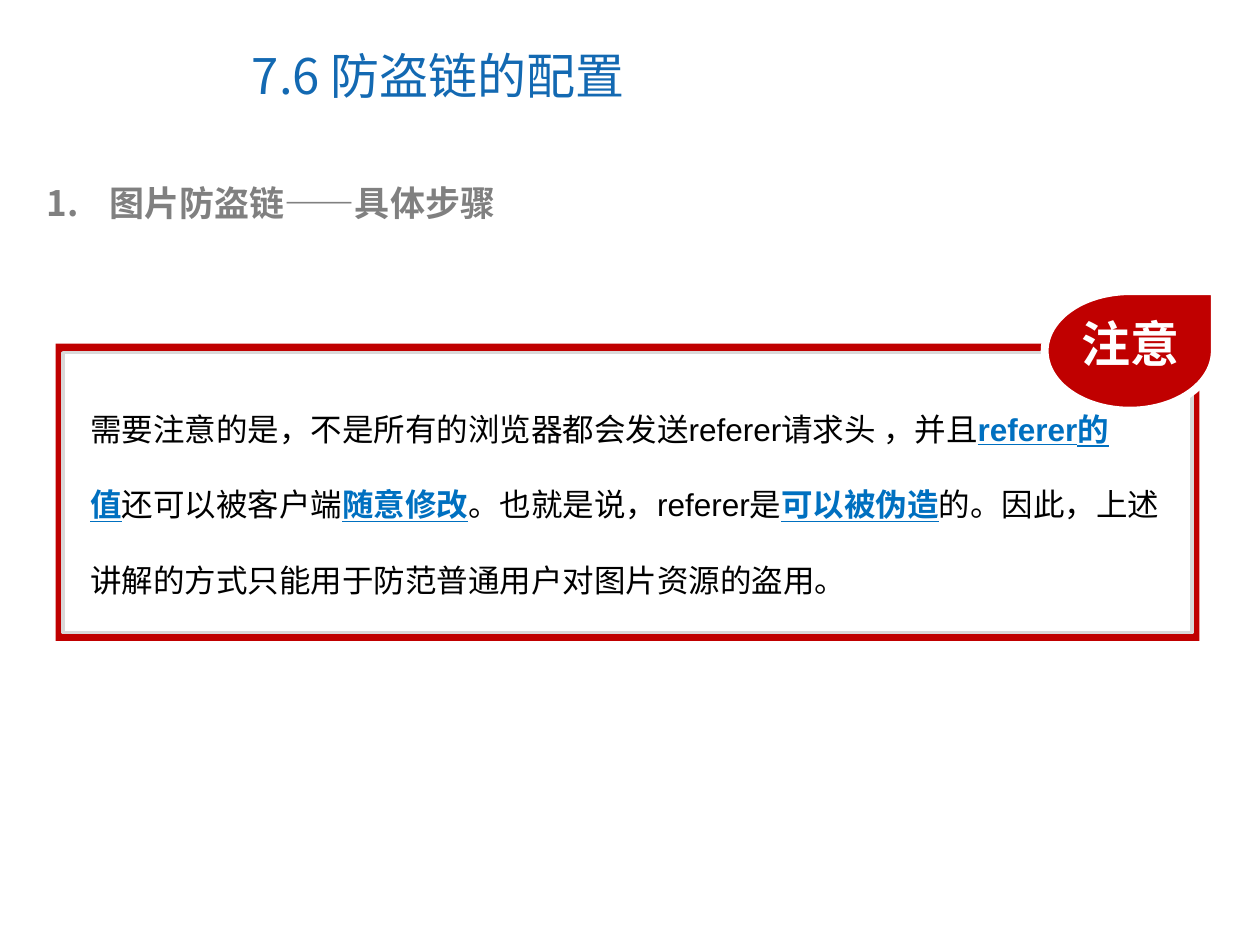
from dataclasses import dataclass, field

from lxml import etree
from pptx import Presentation
from pptx import util as u
from pptx.dml.color import RGBColor
from pptx.enum import shapes, text
from pptx.oxml import ns

CJK = "Noto Sans CJK SC"
RED, WHITE, BLACK, BLUE = "C00000", "FFFFFF", "000000", "0070C0"


@dataclass
class Span:
    words: str
    size: float
    color: str
    font: str = CJK
    format: dict = field(default_factory=dict)


@dataclass
class Panel:
    kind: shapes.MSO_SHAPE
    place: tuple[float, float, float, float]
    fill: str
    line: str | None = None
    weight: float = 0


@dataclass
class TextBox:
    place: tuple[float, float, float, float]
    paras: list[list[Span]]
    frame: dict = field(default_factory=dict)
    spacing: float = 1.0
    numbered: bool = False


def rgb(value: str) -> RGBColor:
    return RGBColor.from_string(value)


def lengths(place: tuple) -> list:
    return [u.Cm(value) for value in place]


def draw_panel(parent, panel: Panel) -> None:
    shape = parent.add_shape(panel.kind, *lengths(panel.place))
    shape.shadow.inherit = False
    shape.fill.solid()
    shape.fill.fore_color.rgb = rgb(panel.fill)
    if panel.line:
        shape.line.color.rgb = rgb(panel.line)
        shape.line.width = u.Pt(panel.weight)
    else:
        shape.line.fill.background()


def add_number(para) -> None:
    properties = para._p.get_or_add_pPr()
    indent = u.Cm(1.27)
    properties.set("marL", str(indent))
    properties.set("indent", str(-indent))
    number = etree.SubElement(properties, ns.qn("a:buAutoNum"))
    number.set("type", "arabicPeriod")


def write_span(para, span: Span) -> None:
    run = para.add_run()
    run.text = span.words
    values = {"name": span.font, "size": u.Pt(span.size), **span.format}
    for name, value in values.items():
        setattr(run.font, name, value)
    run.font.color.rgb = rgb(span.color)
    latin = run.font._element.find(ns.qn("a:latin"))
    asian = etree.Element(ns.qn("a:ea"), typeface=CJK)
    latin.addnext(asian)


def draw_text(parent, item: TextBox) -> None:
    box = parent.add_textbox(*lengths(item.place))
    frame = box.text_frame
    for name, value in {"word_wrap": True, **item.frame}.items():
        setattr(frame, name, value)
    for index, spans in enumerate(item.paras):
        para = frame.add_paragraph() if index else frame.paragraphs[0]
        if item.spacing != 1:
            para.line_spacing = item.spacing
        if item.numbered:
            add_number(para)
        for span in spans:
            write_span(para, span)


def plain(words: str) -> Span:
    return Span(words, 18, BLACK, "Arial")


def stressed(words: str) -> Span:
    return Span(words, 18, BLUE, "Arial", {"bold": True, "underline": True})


BOLD = {"bold": True}
GROW = {"auto_size": text.MSO_AUTO_SIZE.SHAPE_TO_FIT_TEXT}

TITLE = TextBox((4.83, 0.43, 14.4, 2.16), [[Span("7.6 防盗链的配置", 28, "1369B2")]],
                {"vertical_anchor": text.MSO_ANCHOR.MIDDLE})
HEADING = TextBox((0.69, 3.53, 23.42, 1.12),
                  [[Span("图片防盗链——具体步骤", 20, "808080", format=BOLD)]],
                  GROW, numbered=True)
BORDER = [
    Panel(shapes.MSO_SHAPE.RECTANGLE, (1.12, 6.93, 23.06, 5.99), RED),
    Panel(shapes.MSO_SHAPE.RECTANGLE, (1.27, 7.11, 22.76, 5.64), WHITE, "D9D9D9", 2),
]
BADGE = [Panel(shapes.MSO_SHAPE.TEAR, (21.06, 5.87, 3.43, 2.41), RED, WHITE, 4.5)]
BADGE_LABEL = TextBox((21.56, 6.2, 2.51, 1.45), [[Span("注意", 28, WHITE, format=BOLD)]],
                      {**GROW, "word_wrap": False})
WARNING = TextBox((1.57, 7.37, 22.53, 4.88), [
    [plain("需要注意的是，不是所有的浏览器都会发送referer请求头 ，并且"),
     stressed("referer的")],
    [stressed("值"), plain("还可以被客户端"), stressed("随意修改"),
     plain("。也就是说，referer是"), stressed("可以被伪造"),
     plain("的。因此，上述讲解的方式只能用于防范普通用户对图片资源的盗用。")],
], GROW, spacing=2.0)


def main() -> None:
    deck = Presentation()
    deck.slide_width, deck.slide_height = u.Cm(25.4), u.Cm(19.05)
    page = deck.slides.add_slide(deck.slide_layouts[6])
    for item in (TITLE, HEADING):
        draw_text(page.shapes, item)
    for panels, labels in ((BORDER, []), (BADGE, [BADGE_LABEL])):
        group = page.shapes.add_group_shape()
        for panel in panels:
            draw_panel(group.shapes, panel)
        for label in labels:
            draw_text(group.shapes, label)
    draw_text(page.shapes, WARNING)
    deck.save("out.pptx")


if __name__ == "__main__":
    main()
